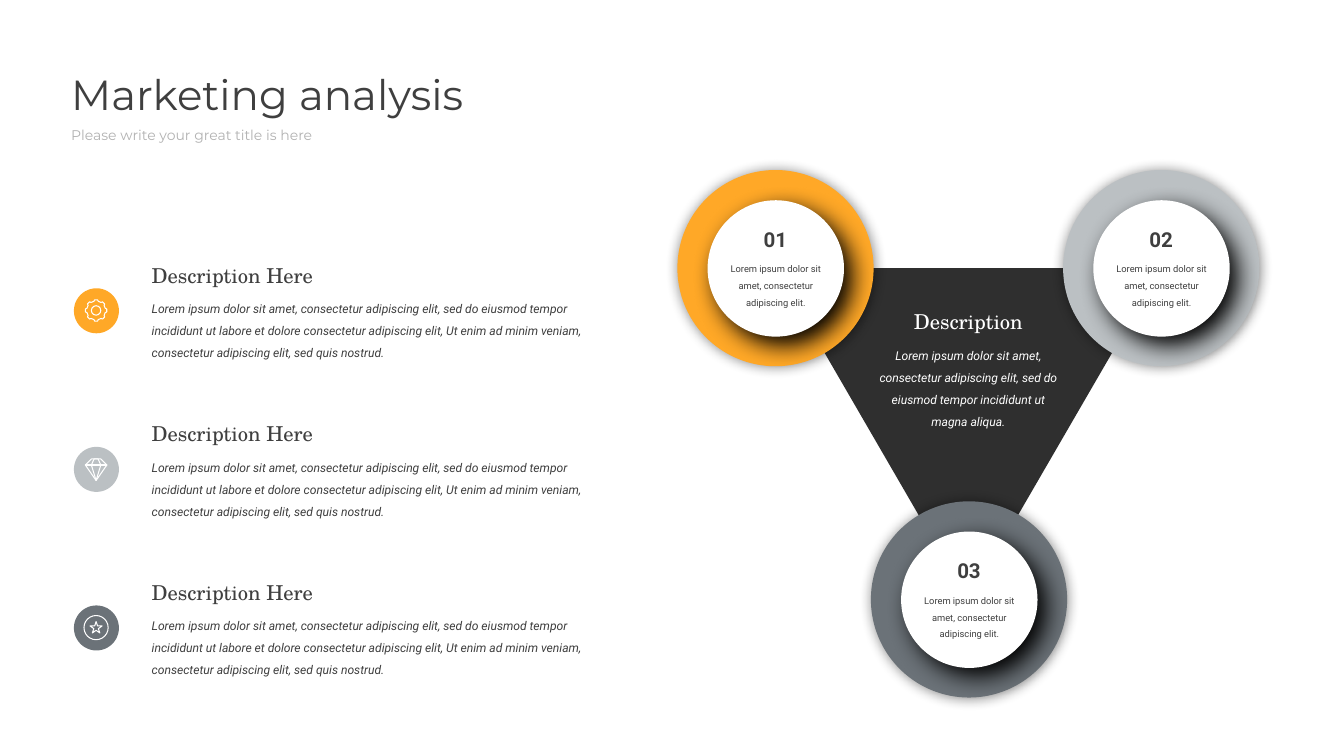
"""Build the marketing analysis slide: three described points beside a triangle of numbered rings."""
import math

from lxml import etree
from pptx import Presentation
from pptx import util as u
from pptx.dml.color import RGBColor
from pptx.enum import shapes, text
from pptx.oxml.ns import qn

PX = 9144
ORANGE = RGBColor(0xFF, 0xA8, 0x27)
SILVER = RGBColor(0xBB, 0xC0, 0xC3)
SLATE = RGBColor(0x6B, 0x72, 0x78)
CHARCOAL = RGBColor(0x2F, 0x2F, 0x2F)
INK = RGBColor(0x3F, 0x3F, 0x3F)
MUTED = RGBColor(0xB2, 0xB2, 0xB2)
WHITE = RGBColor(0xFF, 0xFF, 0xFF)

SANS, SERIF, DISPLAY = "Roboto", "TeX Gyre Schola", "Montserrat"
SHAPE = shapes.MSO_SHAPE
LEFT, CENTER = text.PP_ALIGN.LEFT, text.PP_ALIGN.CENTER

LOREM = "Lorem ipsum dolor sit amet, consectetur adipiscing elit"
POINT_BODY = (
    LOREM + ", sed do eiusmod tempor incididunt ut labore et dolore consectetur adipiscing elit, "
    "Ut enim ad minim veniam, consectetur adipiscing elit, sed quis nostrud."
)
RINGS = [(1008, 253, ORANGE), (1582, 253, SILVER), (1296, 746, SLATE)]


class SlideBuilder:
    """Hold the current slide and draw its elements in px."""

    def __init__(self, slide):
        self.slide = slide

    def set_text(self, shape, words, size, font, color, align=LEFT, spacing=1.0, bold=False, italic=False):
        """Fill a text shape with one styled paragraph."""
        frame = shape.text_frame
        frame.text = words
        frame.word_wrap = True
        frame.vertical_anchor = text.MSO_ANCHOR.TOP
        frame.auto_size = text.MSO_AUTO_SIZE.SHAPE_TO_FIT_TEXT
        paragraph = frame.paragraphs[0]
        paragraph.alignment = align
        paragraph.line_spacing = spacing
        paragraph.font.size = u.Pt(size)
        paragraph.font.name = font
        paragraph.font.bold = bold
        paragraph.font.italic = italic
        paragraph.font.color.rgb = color

    def title(self, box, words, size, font, color):
        """Place and style the title placeholder."""
        shape = self.slide.shapes.title
        shape.left, shape.top, shape.width, shape.height = (n * PX for n in box)
        self.set_text(shape, words, size, font, color)

    def label(self, box, words, size, font, color, **style):
        """Add a text box."""
        shape = self.slide.shapes.add_textbox(*(n * PX for n in box))
        self.set_text(shape, words, size, font, color, **style)

    def solid(self, kind, box, color):
        """Add a filled preset shape without outline."""
        shape = self.slide.shapes.add_shape(kind, *(n * PX for n in box))
        shape.fill.solid()
        shape.fill.fore_color.rgb = color
        shape.line.fill.background()
        shape.shadow.inherit = False
        return shape

    def disc(self, box, color, blur, distance, opacity):
        """Add a circle with a soft black shadow towards the lower right."""
        shape = self.solid(SHAPE.OVAL, box, color)
        effects = shape._element.spPr.find(qn("a:effectLst"))
        shadow = etree.SubElement(
            effects, qn("a:outerShdw"), blurRad=str(u.Pt(blur)), dist=str(u.Pt(distance)),
            dir="2700000", algn="ctr", rotWithShape="0",
        )
        black = etree.SubElement(shadow, qn("a:srgbClr"), val="000000")
        etree.SubElement(black, qn("a:alpha"), val=str(opacity * 1000))

    def stroke(self, shape):
        """Turn a shape into a thin white outline."""
        shape.fill.background()
        shape.line.color.rgb = WHITE
        shape.line.width = u.Pt(1.1)
        shape.shadow.inherit = False

    def outline(self, kind, box):
        """Add a preset shape as a white outline."""
        self.stroke(self.slide.shapes.add_shape(kind, *(n * PX for n in box)))

    def drawing(self, x, y, contours):
        """Add a white line drawing from closed contours around a centre."""
        placed = [[(round((x + dx) * PX), round((y + dy) * PX)) for dx, dy in c] for c in contours]
        builder = self.slide.shapes.build_freeform(*placed[0][0])
        for index, points in enumerate(placed):
            if index:
                builder.move_to(*points[0])
            builder.add_line_segments(points[1:], close=True)
        self.stroke(builder.convert_to_shape())


def draw_gear(builder, x, y):
    """Draw an eight-toothed gear with a hub."""
    profile = [(-13, 14), (-8, 16), (8, 16), (13, 14)]
    teeth = [
        (radius * math.cos(math.radians(turn + angle)), radius * math.sin(math.radians(turn + angle)))
        for turn in range(0, 360, 45) for angle, radius in profile
    ]
    builder.drawing(x, y, [teeth])
    builder.outline(SHAPE.OVAL, (x - 7, y - 7, 14, 14))


def draw_diamond(builder, x, y):
    """Draw a cut diamond."""
    builder.drawing(x, y, [
        [(-7, -15), (7, -15), (16, -6), (0, 17), (-16, -6)],
        [(-16, -6), (16, -6)],
        [(-3, -15), (-7, -6), (0, 17), (7, -6), (3, -15)],
    ])


def draw_star(builder, x, y):
    """Draw a star inside a circle."""
    builder.outline(SHAPE.OVAL, (x - 18, y - 18, 36, 36))
    builder.outline(SHAPE.STAR_5_POINT, (x - 9, y - 9, 18, 17))


def main():
    """Build and save the presentation."""
    presentation = Presentation()
    presentation.slide_width, presentation.slide_height = 2000 * PX, 1125 * PX
    builder = SlideBuilder(presentation.slides.add_slide(presentation.slide_layouts[5]))

    builder.title((96, 97, 705, 86), "Marketing analysis", 45, DISPLAY, INK)
    builder.label((96, 183, 462, 35), "Please write your great title is here", 15, DISPLAY, MUTED)

    triangle = builder.solid(SHAPE.ISOSCELES_TRIANGLE, (1154, 399, 574, 495), CHARCOAL)
    triangle.rotation = 180
    for number, (left, top, color) in enumerate(RINGS, 1):
        builder.disc((left, top, 292, 292), color, blur=14, distance=1, opacity=45)
        builder.disc((left + 45, top + 45, 203, 203), WHITE, blur=26, distance=13, opacity=100)
        builder.label((left + 63, top + 126, 167, 86), LOREM + ".", 10, SANS, INK,
                      align=CENTER, spacing=1.5)
        builder.label((left + 82, top + 80, 128, 47), f"{number:02}", 22, SANS, INK,
                      align=CENTER, bold=True)

    builder.label((1289, 455, 304, 47), "Description", 22, SERIF, WHITE, align=CENTER)
    builder.label((1289, 503, 304, 141), LOREM + ", sed do eiusmod tempor incididunt ut magna aliqua.",
                  13, SANS, WHITE, align=CENTER, spacing=1.5, italic=True)

    icons = [(ORANGE, draw_gear), (SILVER, draw_diamond), (SLATE, draw_star)]
    for row, (color, draw_icon) in enumerate(icons):
        top = 386 + 236 * row
        builder.label((216, top, 304, 47), "Description Here", 22, SERIF, INK)
        builder.label((216, top + 47, 703, 109), POINT_BODY, 13, SANS, INK, spacing=1.5, italic=True)
        builder.solid(SHAPE.OVAL, (110, top + 43, 67, 67), color)
        draw_icon(builder, 143, top + 76)

    presentation.save("out.pptx")


if __name__ == "__main__":
    main()
